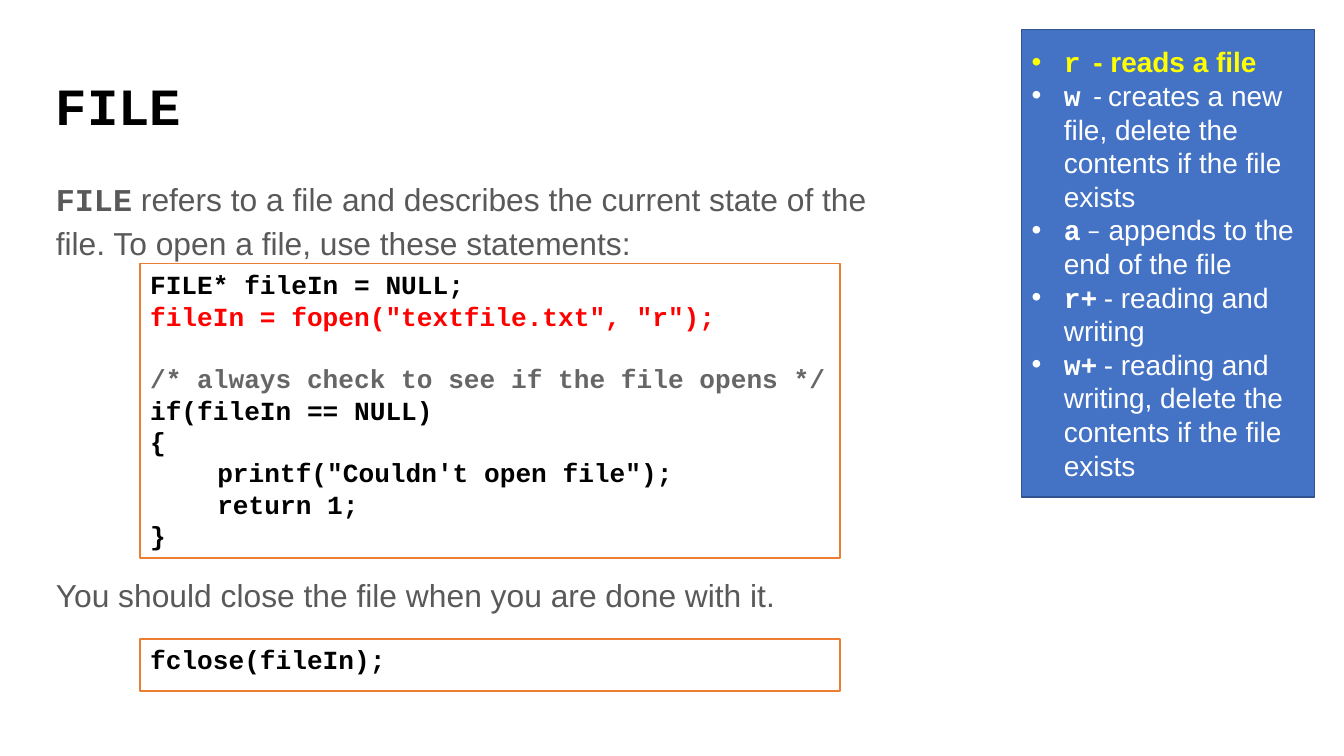
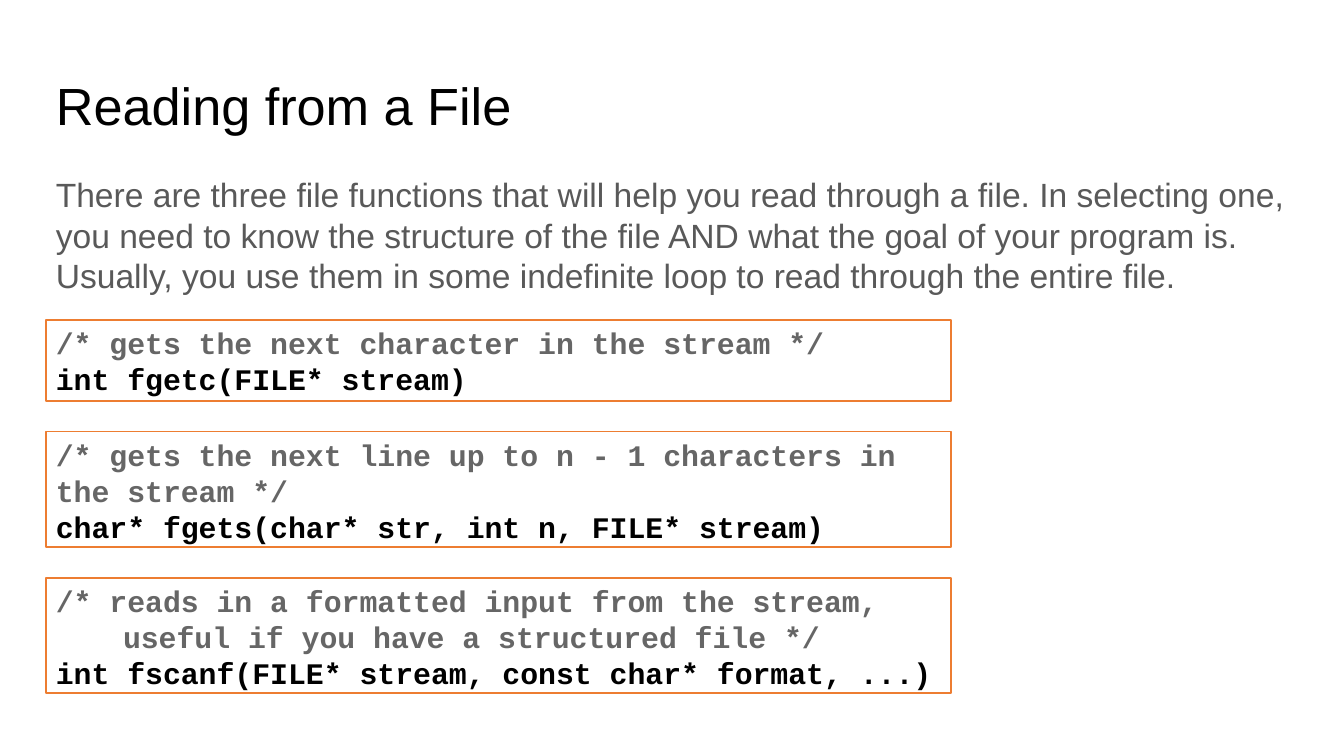
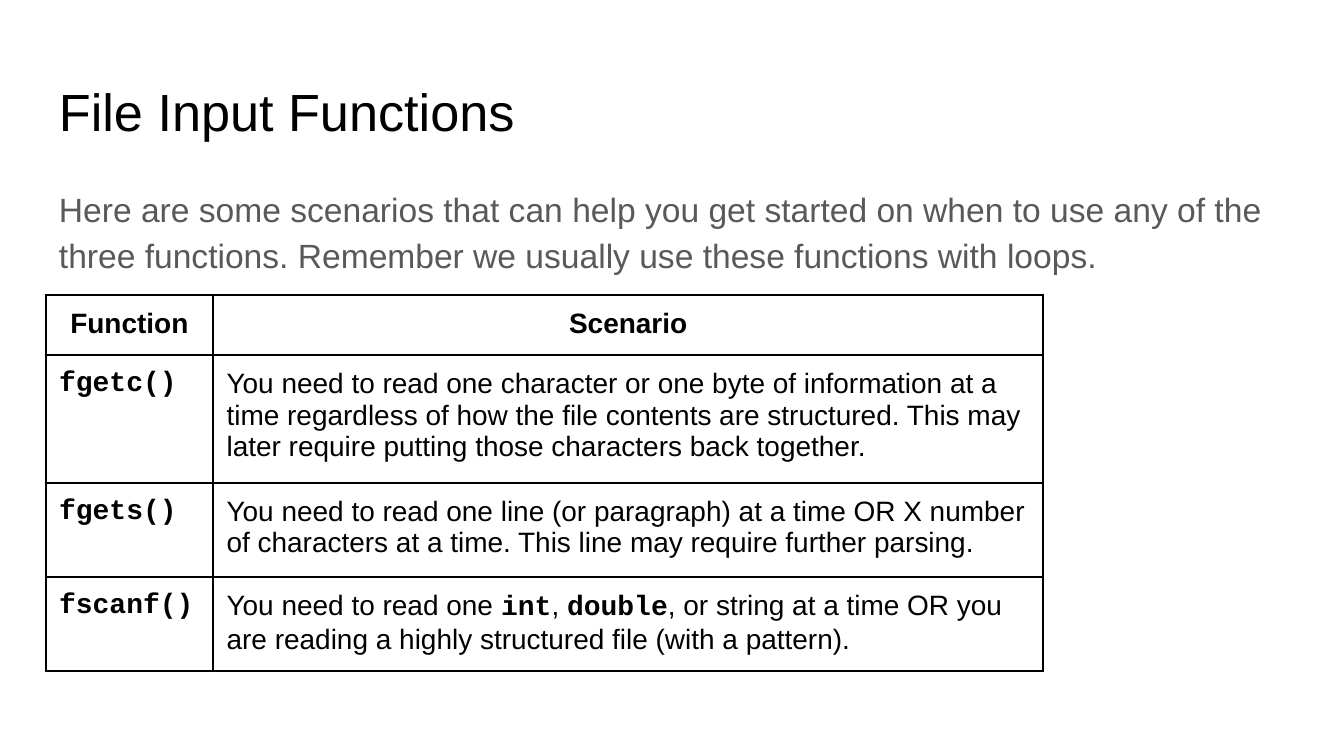
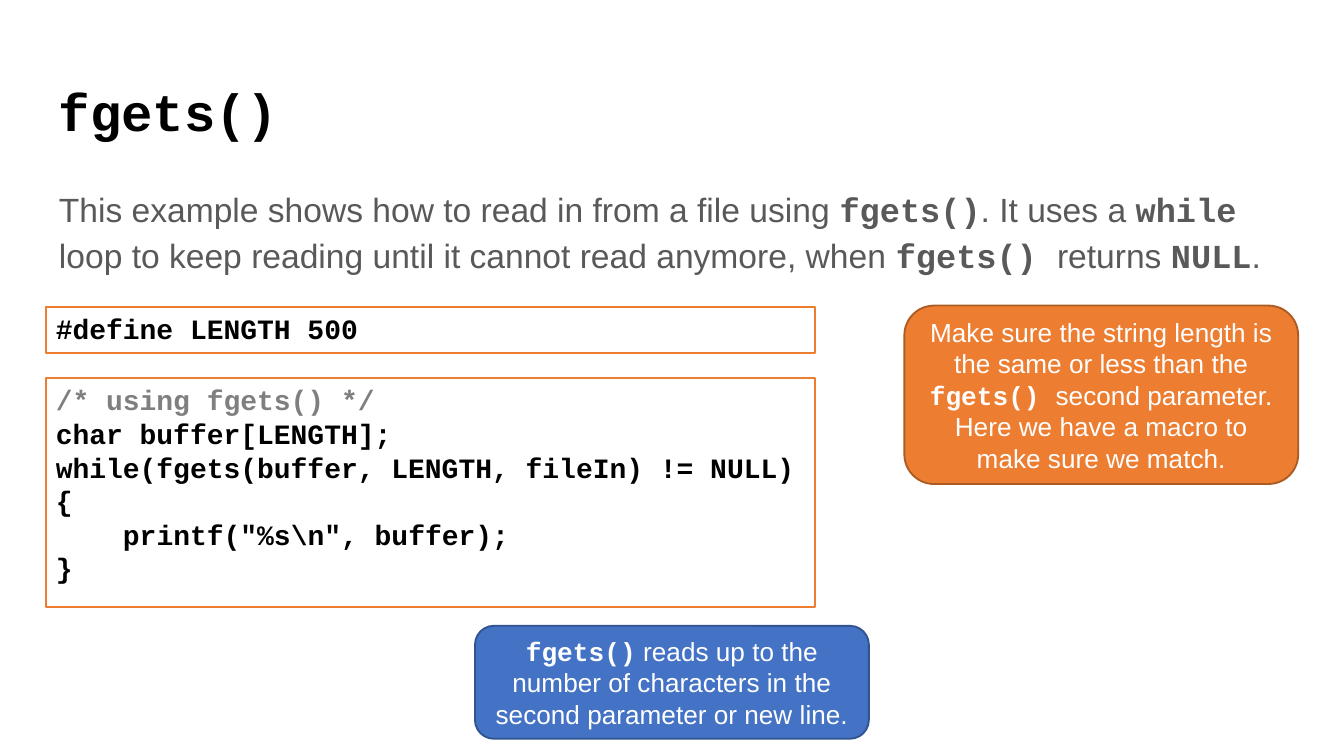
import pptx
import pptx.util
import pptx.dml.color
import pptx.enum.shapes
import pptx.enum.text
import pptx.oxml.ns
from lxml import etree

Pt = pptx.util.Pt
SHAPE = pptx.enum.shapes.MSO_SHAPE
ANCHOR = pptx.enum.text.MSO_ANCHOR
ALIGN = pptx.enum.text.PP_ALIGN
qn = pptx.oxml.ns.qn

COLORS = {
    "black": "000000", "white": "FFFFFF", "body": "595959",
    "comment": "666666", "light_comment": "7F7F7F",
    "red": "FF0000", "yellow": "FFFF00",
    "blue": "4472C4", "blue_line": "31538F",
    "orange": "ED7D31", "orange_line": "AC5B23",
}
SANS, MONO, GAP = "Arial", "Courier New", "Calibri"
TIGHT, CALLOUT, ROOMY = (5.4, 2.7), (7.2, 3.6), (7.2, 7.2)
LEFT, WIDTH = 24.5, 671


def rgb(name):
    return pptx.dml.color.RGBColor.from_string(COLORS[name])


def apply(obj, values):
    for key, value in values.items():
        setattr(obj, key, value)


def mixed(text):
    """Split text into runs; parts between backticks are bold code."""
    return [(part, MONO if i % 2 else SANS, bool(i % 2))
            for i, part in enumerate(text.split("`")) if part]


class Deck:
    def __init__(self):
        self.prs = pptx.Presentation()
        apply(self.prs, {"slide_width": Pt(720), "slide_height": Pt(405)})
        self.slide = None

    def new_slide(self):
        self.slide = self.prs.slides.add_slide(self.prs.slide_layouts[6])

    def frame(self, tf, insets, anchor=ANCHOR.TOP):
        x, y = map(Pt, insets)
        apply(tf, {"word_wrap": True, "vertical_anchor": anchor,
                   "margin_left": x, "margin_right": x,
                   "margin_top": y, "margin_bottom": y})

    def paragraph(self, p, runs, size, color, **fmt):
        """Fill p with (text, font, bold) runs; fmt holds paragraph values."""
        apply(p, fmt)
        for text, font, bold in runs:
            r = p.add_run()
            r.text = text
            apply(r.font, {"name": font, "bold": bold, "size": Pt(size)})
            r.font.color.rgb = rgb(color)

    def next_paragraph(self, tf):
        first = tf.paragraphs[0]
        return tf.add_paragraph() if first.runs else first

    def text(self, box, text, size, color, insets, anchor=ANCHOR.TOP, **fmt):
        sp = self.slide.shapes.add_textbox(*map(Pt, box))
        self.frame(sp.text_frame, insets, anchor)
        self.paragraph(sp.text_frame.paragraphs[0], mixed(text), size, color, **fmt)

    def title(self, text, insets=TIGHT):
        style = {"anchor": ANCHOR.MIDDLE, "line_spacing": 0.9} if insets == TIGHT else {}
        self.text((LEFT, 35.3, WIDTH, 45.4), text, 28, "black", insets, **style)

    def body(self, text, size=18, top=90.7, width=WIDTH, height=67,
             insets=ROOMY, spacing=1.15):
        self.text((LEFT, top, width, height), text, size, "body", insets,
                  line_spacing=spacing)

    def shape(self, kind, box, fill, line, insets, anchor=ANCHOR.TOP):
        sp = self.slide.shapes.add_shape(kind, *map(Pt, box))
        sp.shadow.inherit = False
        sp.fill.solid()
        sp.fill.fore_color.rgb = rgb(fill)
        sp.line.color.rgb = rgb(line)
        sp.line.width = Pt(1)
        self.frame(sp.text_frame, insets, anchor)
        return sp.text_frame

    def code(self, box, lines, size):
        """Each line is text, or (text, colour), or (text, colour, space before)."""
        tf = self.shape(SHAPE.RECTANGLE, box, "white", "orange", TIGHT)
        for line in lines:
            text, color, before = ((line,) if isinstance(line, str) else line) + \
                ("black", 0)[-1 if isinstance(line, tuple) else 0:][:2] \
                if not (isinstance(line, tuple) and len(line) == 3) else line
            self.paragraph(self.next_paragraph(tf), [(text, MONO, True)], size, color,
                           alignment=ALIGN.LEFT, space_before=Pt(before))

    def callout(self, box, text, fill):
        tf = self.shape(SHAPE.ROUNDED_RECTANGLE, box, fill, fill + "_line",
                        CALLOUT, ANCHOR.MIDDLE)
        self.paragraph(tf.paragraphs[0], mixed(text), 14, "white",
                       alignment=ALIGN.CENTER)

    def bullet(self, p, color, indent=17.3):
        pPr = p._p.get_or_add_pPr()
        pPr.set("marL", str(Pt(indent)))
        pPr.set("indent", str(-Pt(indent)))
        clr = etree.SubElement(pPr, qn("a:buClr"))
        etree.SubElement(clr, qn("a:srgbClr"), val=COLORS[color])
        etree.SubElement(pPr, qn("a:buFont"), typeface=SANS)
        etree.SubElement(pPr, qn("a:buChar"), char="•")

    def mode_panel(self, box, modes):
        tf = self.shape(SHAPE.RECTANGLE, box, "blue", "blue_line", TIGHT, ANCHOR.MIDDLE)
        for i, (mode, gap, meaning) in enumerate(modes):
            p = self.next_paragraph(tf)
            current = i == 0
            color = "yellow" if current else "white"
            runs = [(mode, MONO, True), (gap, GAP, False), (meaning, SANS, current)]
            self.paragraph(p, runs, 15, color, alignment=ALIGN.LEFT)
            self.bullet(p, color)

    def borders(self, cell):
        tcPr = cell._tc.get_or_add_tcPr()
        for i, side in enumerate(("lnL", "lnR", "lnT", "lnB")):
            ln = etree.Element(qn("a:" + side), w=str(Pt(1)))
            fill = etree.SubElement(ln, qn("a:solidFill"))
            etree.SubElement(fill, qn("a:srgbClr"), val=COLORS["black"])
            tcPr.insert(i, ln)

    def table(self, left, top, widths, heights, rows):
        table = self.slide.shapes.add_table(
            len(rows), len(widths), Pt(left), Pt(top),
            Pt(sum(widths)), Pt(sum(heights))).table
        apply(table, {"first_row": False, "horz_banding": False})
        for col, width in zip(table.columns, widths):
            col.width = Pt(width)
        for i, (row, height, texts) in enumerate(zip(table.rows, heights, rows)):
            row.height = Pt(height)
            for cell, text in zip(row.cells, texts):
                cell.fill.background()
                self.borders(cell)
                x = Pt(ROOMY[0])
                apply(cell, dict.fromkeys(
                    ("margin_left", "margin_right", "margin_top", "margin_bottom"), x))
                runs = mixed(text) if i else [(text, SANS, True)]
                self.paragraph(cell.text_frame.paragraphs[0], runs, 15, "black",
                               alignment=ALIGN.LEFT if i else ALIGN.CENTER)


def file_slide(deck):
    deck.new_slide()
    deck.title("`FILE`")
    intro = {"size": 17, "width": 475, "insets": TIGHT}
    deck.body("`FILE` refers to a file and describes the current state of the file. "
              "To open a file, use these statements:", **intro)
    deck.body("You should close the file when you are done with it.",
              top=302.8, height=30, **intro)
    deck.mode_panel((547.2, 15.8, 157, 250.6), [
        ("r", "  ", "- reads a file"),
        ("w", "  - ", "creates a new file, delete the contents if the file exists"),
        ("a", " –", " appends to the end of the file"),
        ("r+", " ", "- reading and writing"),
        ("w+", " ", "- reading and writing, delete the contents if the file exists"),
    ])
    deck.code((75, 141.2, 375, 157.6), [
        "FILE* fileIn = NULL;",
        ('fileIn = fopen("textfile.txt", "r");', "red", 0),
        ("/* always check to see if the file opens */", "comment", 16.8),
        "if(fileIn == NULL)",
        "{",
        '\tprintf("Couldn\'t open file");',
        "\treturn 1;",
        "}",
    ], 14)
    deck.code((75, 342.2, 375, 27.8), ["fclose(fileIn);"], 14)


def reading_slide(deck):
    deck.new_slide()
    deck.title("Reading from a File")
    deck.body("There are three file functions that will help you read through a file. "
              "In selecting one, you need to know the structure of the file AND what the "
              "goal of your program is. Usually, you use them in some indefinite loop to "
              "read through the entire file.", insets=TIGHT, spacing=1.0)
    prototypes = [
        (43.3, ["/* gets the next character in the stream */"],
         "int fgetc(FILE* stream)"),
        (61.9, ["/* gets the next line up to n - 1 characters in the stream */"],
         "char* fgets(char* str, int n, FILE* stream)"),
        (61.9, ["/* reads in a formatted input from the stream,",
                "\tuseful if you have a structured file */"],
         "int fscanf(FILE* stream, const char* format, ...)"),
    ]
    top, gap = 171.4, 16.5
    for height, comments, prototype in prototypes:
        lines = [(comment, "comment", 0) for comment in comments]
        deck.code((LEFT, top, 484.8, height), lines + [prototype], 16)
        top += height + gap


def functions_slide(deck):
    deck.new_slide()
    deck.title("File Input Functions", ROOMY)
    deck.table(LEFT, 157.9, (89.7, 444.7), (29, 62, 45.4, 45.4), [
        ("Function", "Scenario"),
        ("`fgetc()`", "You need to read one character or one byte of information at a "
         "time regardless of how the file contents are structured. This may later "
         "require putting those characters back together."),
        ("`fgets()`", "You need to read one line (or paragraph) at a time OR X number "
         "of characters at a time. This line may require further parsing."),
        ("`fscanf()`", "You need to read one `int`, `double`, or string at a time OR "
         "you are reading a highly structured file (with a pattern)."),
    ])
    deck.body("Here are some scenarios that can help you get started on when to use any "
              "of the three functions. Remember we usually use these functions with loops.")


def fgets_slide(deck):
    deck.new_slide()
    deck.title("`fgets()`", ROOMY)
    deck.body("This example shows how to read in from a file using `fgets()`. It uses a "
              "`while` loop to keep reading until it cannot read anymore, when "
              "`fgets() `returns `NULL`.")
    deck.code((LEFT, 202.5, 412, 122.5), [
        ("/* using fgets() */", "light_comment", 0),
        "char buffer[LENGTH];",
        "while(fgets(buffer, LENGTH, fileIn) != NULL)",
        "{",
        '\tprintf("%s\\n", buffer);',
        "}",
    ], 15)
    deck.code((LEFT, 164.4, 412, 24.9), ["#define LENGTH 500"], 15)
    deck.callout((254.5, 335.3, 211, 60.5), "`fgets()` reads up to the number of "
                 "characters in the second parameter or new line.", "blue")
    deck.callout((484.5, 163.7, 211, 95.6), "Make sure the string length is the same or "
                 "less than the `fgets() `second parameter. Here we have a macro to make "
                 "sure we match.", "orange")


def main():
    deck = Deck()
    for build in (file_slide, reading_slide, functions_slide, fgets_slide):
        build(deck)
    deck.prs.save("out.pptx")


if __name__ == "__main__":
    main()
